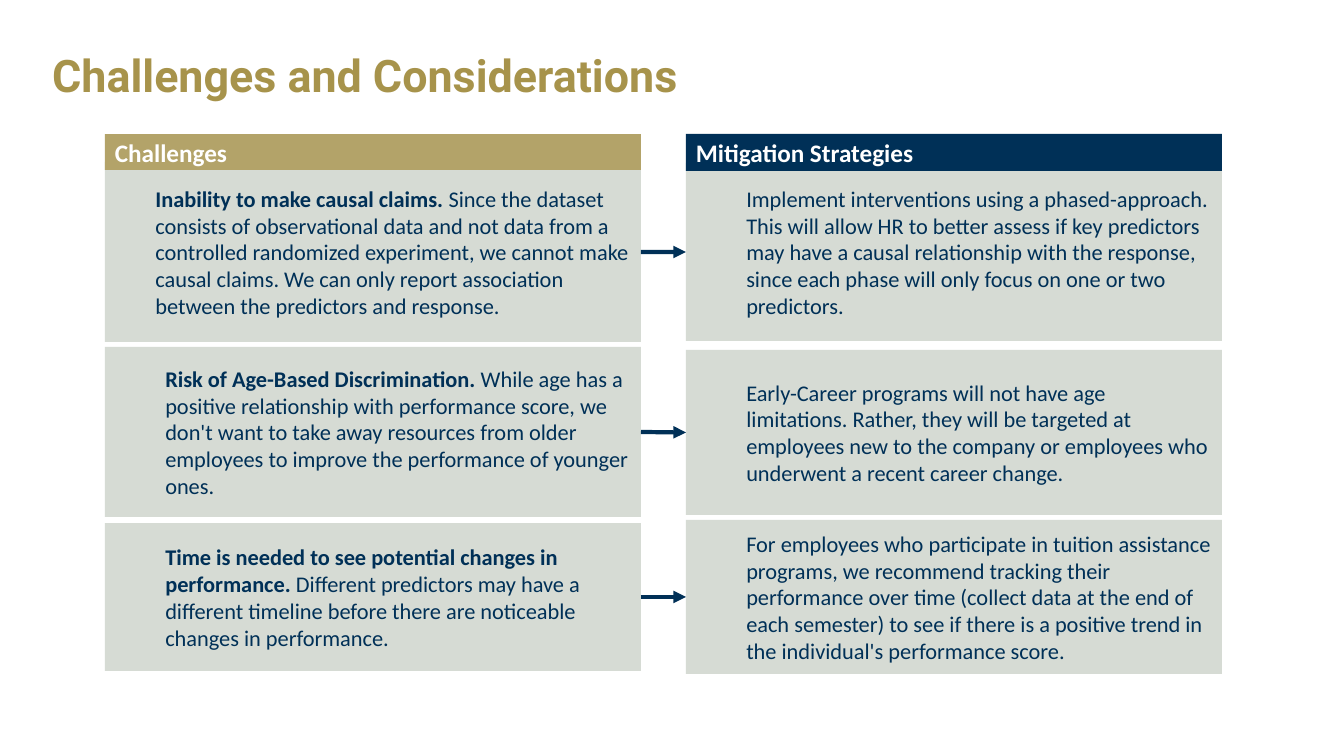
from lxml.etree import SubElement
from pptx import Presentation
from pptx.dml.color import RGBColor
from pptx.enum.shapes import MSO_CONNECTOR, MSO_SHAPE
from pptx.enum.text import MSO_ANCHOR, MSO_AUTO_SIZE, PP_ALIGN
from pptx.oxml.ns import qn
from pptx.util import Emu, Inches, Pt

PX = Inches(1) / 100.8
COLORS = {"title": "A7934B", "gold": "B3A369", "navy": "003057",
          "panel": "D6DBD4", "white": "FFFFFF"}
LEFT_X, RIGHT_X, COLUMN_WIDTH = 105, 686, 536
HEADER_TOP = 134
RIGHT_SIDE, LEFT_SIDE = 3, 1


def px(*lengths):
    return [Emu(round(length * PX)) for length in lengths]


def add_box(left, top, height, fill, pieces, size, color):
    """Add a filled rectangle; pieces are (text, bold) pairs."""
    box = slide.shapes.add_shape(MSO_SHAPE.RECTANGLE, *px(left, top, COLUMN_WIDTH, height))
    box.shadow.inherit = False
    box.fill.solid()
    box.fill.fore_color.rgb = RGBColor.from_string(COLORS[fill])
    box.line.fill.background()
    frame = box.text_frame
    frame.word_wrap = True
    frame.vertical_anchor = MSO_ANCHOR.MIDDLE
    paragraph = frame.paragraphs[0]
    paragraph.alignment = PP_ALIGN.LEFT
    for text, bold in pieces:
        run = paragraph.add_run()
        run.text = text
        run.font.name = "Calibri"
        run.font.size = Pt(size)
        run.font.bold = bold
        run.font.color.rgb = RGBColor.from_string(COLORS[color])
    return box


presentation = Presentation()
presentation.slide_width, presentation.slide_height = px(1344, 756)
slide = presentation.slides.add_slide(presentation.slide_layouts[5])

title = slide.shapes.title
title.left, title.top, title.width, title.height = px(42, 22, 1260, 112)
title.text_frame.text = "Challenges and Considerations"
title.text_frame.auto_size = MSO_AUTO_SIZE.NONE
title.text_frame.vertical_anchor = MSO_ANCHOR.MIDDLE
heading = title.text_frame.paragraphs[0]
heading.alignment = PP_ALIGN.LEFT
heading.line_spacing = 0.9
heading_font = heading.runs[0].font
heading_font.name = "Roboto"
heading_font.size = Pt(32)
heading_font.bold = True
heading_font.color.rgb = RGBColor.from_string(COLORS["title"])

# Each row: (top, height, pieces) of the challenge, then of its mitigation
rows = [
    ((162, 180, [
        ("Inability to make causal claims.", True),
        (" Since the dataset consists of observational data and not data from a "
         "controlled randomized experiment, we cannot make causal claims. We can only "
         "report association between the predictors and response.", False)]),
     (163, 178, [
         ("Implement interventions using a phased-approach. This will allow HR to better "
          "assess if key predictors may have a causal relationship with the response, "
          "since each phase will only focus on one or two predictors.", False)])),
    ((347, 170, [
        ("Risk of Age-Based Discrimination.", True),
        (" While age has a positive relationship with performance score, we don't want to "
         "take away resources from older employees to improve the performance of younger "
         "ones.", False)]),
     (350, 165, [
         ("Early-Career programs will not have age limitations. Rather, they will be "
          "targeted at employees new to the company or employees who underwent a recent "
          "career change.", False)])),
    ((523, 148, [
        ("Time is needed to see potential changes in performance. ", True),
        ("Different predictors may have a different timeline before there are noticeable "
         "changes in performance.", False)]),
     (520, 154, [
         ("For employees who participate in tuition assistance programs, we recommend "
          "tracking their performance over time (collect data at the end of each semester) "
          "to see if there is a positive trend in the individual's performance score.",
          False)])),
]

for row_index, row in enumerate(rows):
    boxes = []
    for left, (top, height, pieces) in zip((LEFT_X, RIGHT_X), row):
        box = add_box(left, top, height, "panel", pieces, 16, "navy")
        paragraph = box.text_frame.paragraphs[0]
        paragraph.level = 1
        properties = paragraph._p.get_or_add_pPr()
        properties.set("marL", str(Inches(0.5)))
        properties.set("indent", "0")
        boxes.append(box)
    challenge, mitigation = boxes

    if row_index == 0:
        frame = challenge.text_frame
        frame.margin_left = frame.margin_right = frame.margin_top = frame.margin_bottom = 0

    arrow = slide.shapes.add_connector(MSO_CONNECTOR.STRAIGHT, 0, 0, 0, 0)
    arrow.begin_connect(challenge, RIGHT_SIDE)
    arrow.end_connect(mitigation, LEFT_SIDE)
    arrow.line.color.rgb = RGBColor.from_string(COLORS["navy"])
    arrow.line.width = Pt(3)
    SubElement(arrow.line._get_or_add_ln(), qn("a:tailEnd"), type="triangle")
    SubElement(arrow._element.spPr, qn("a:effectLst"))

for left, height, fill, label in ((LEFT_X, 36, "gold", "Challenges"),
                                  (RIGHT_X, 37, "navy", "Mitigation Strategies")):
    add_box(left, HEADER_TOP, height, fill, [(label, True)], 18, "white")

presentation.save("out.pptx")
